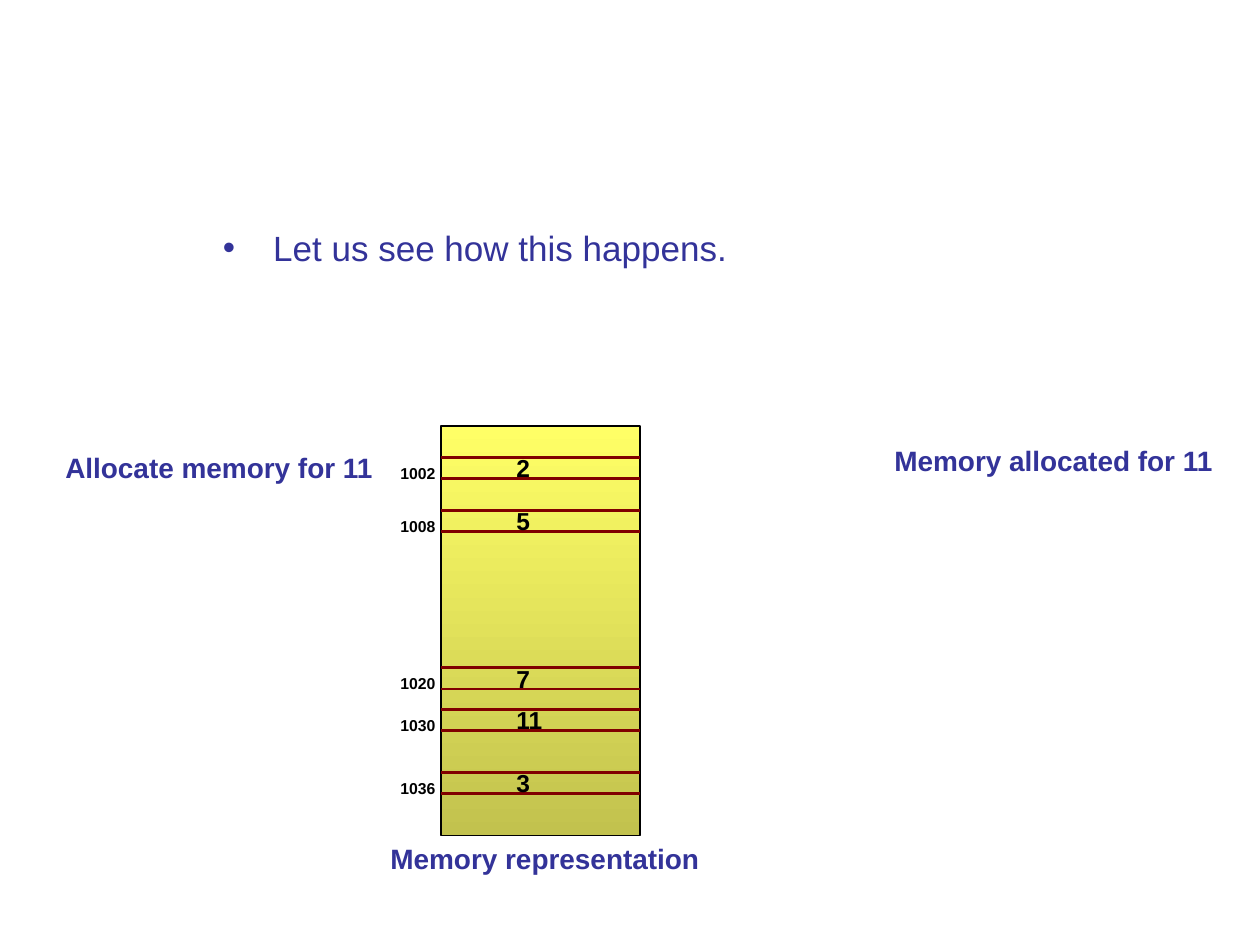
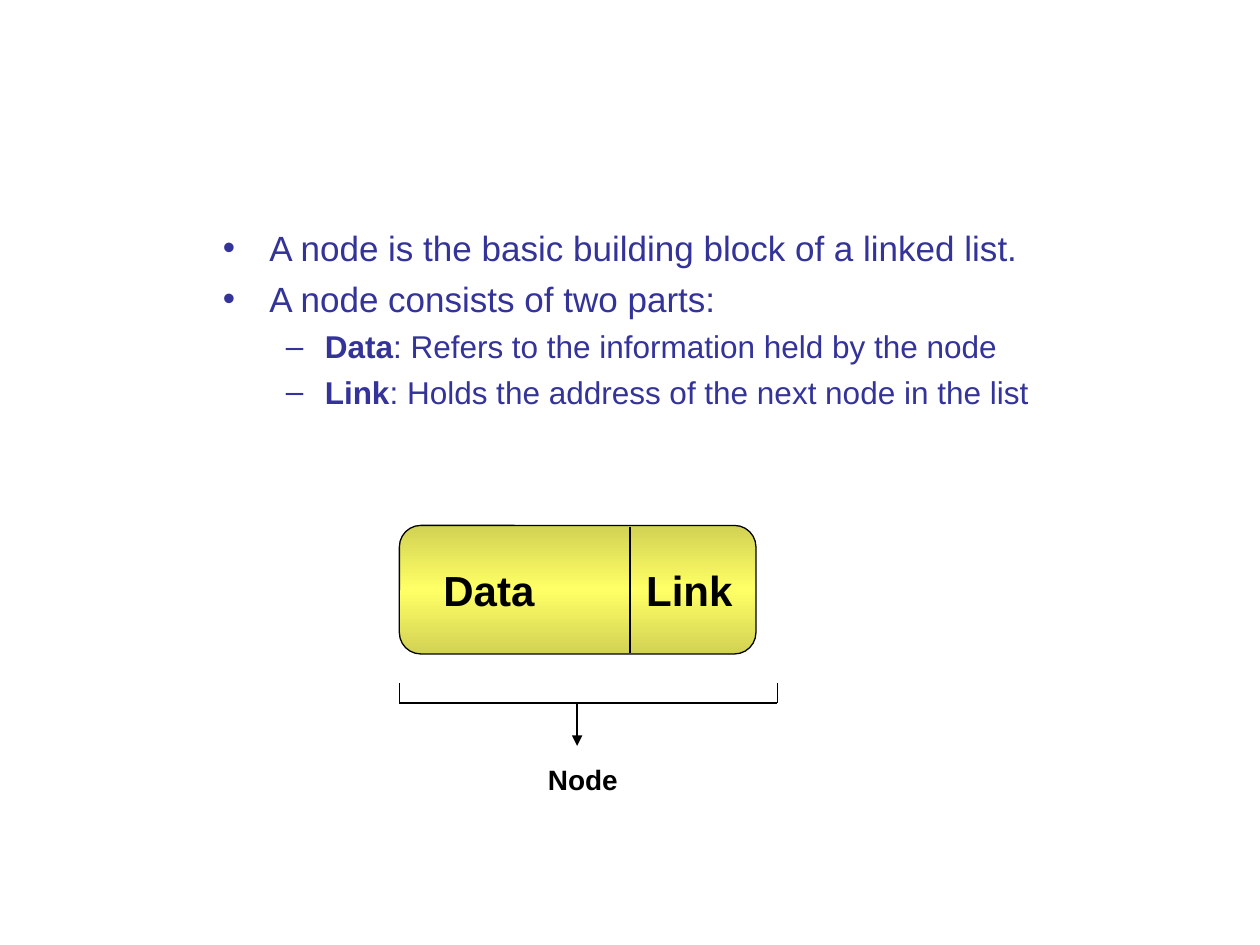
from copy import deepcopy
from dataclasses import dataclass

from lxml import etree
from pptx import Presentation
from pptx.dml.color import RGBColor
from pptx.enum.shapes import MSO_CONNECTOR, MSO_SHAPE
from pptx.enum.text import MSO_AUTO_SIZE
from pptx.oxml.ns import qn
from pptx.util import Inches, Pt

STRAIGHT = MSO_CONNECTOR.STRAIGHT
RECTANGLE = MSO_SHAPE.RECTANGLE
ROUNDED_RECTANGLE = MSO_SHAPE.ROUNDED_RECTANGLE
FIT_TEXT = MSO_AUTO_SIZE.SHAPE_TO_FIT_TEXT


@dataclass(frozen=True)
class Theme:
    font: str = "Arial"
    navy: str = "333399"
    black: str = "000000"
    maroon: str = "800000"
    yellow: str = "FFFF66"
    olive: str = "C2C24E"
    pale_olive: str = "D2D254"
    bullet_sizes: tuple = (20, 18)
    bullet_gaps: tuple = (5, 4.5)
    part_size: int = 24
    caption_size: int = 16
    value_size: int = 14
    address_size: int = 9
    thin: float = 0.75
    thick: float = 1.5


theme = Theme()


def add_label(slide, text, left, top, width, height, size, color, wrap=True):
    label = slide.shapes.add_textbox(Inches(left), Inches(top), Inches(width), Inches(height))
    frame = label.text_frame
    frame.text = text
    frame.word_wrap = wrap
    frame.auto_size = FIT_TEXT
    font = frame.paragraphs[0].runs[0].font
    font.name = theme.font
    font.size = Pt(size)
    font.bold = True
    font.color.rgb = RGBColor.from_string(color)


def add_line(slide, start_x, start_y, end_x, end_y, color, width):
    line = slide.shapes.add_connector(
        STRAIGHT, Inches(start_x), Inches(start_y), Inches(end_x), Inches(end_y))
    line.line.color.rgb = RGBColor.from_string(color)
    line.line.width = Pt(width)
    etree.SubElement(line._element.spPr, qn("a:effectLst"))
    return line


presentation = Presentation()
presentation.slide_width = Inches(10)
presentation.slide_height = Inches(7.5)
blank_layout = presentation.slide_layouts[6]
memory_slide = presentation.slides.add_slide(blank_layout)
node_slide = presentation.slides.add_slide(blank_layout)

memory_bullets = [(0, ["Let us see how this happens."])]
node_bullets = [
    (0, ["A node is the basic building block of a linked list."]),
    (0, ["A node consists of two parts:"]),
    (1, ["Data", ": Refers to the information held by the node"]),
    (1, ["Link", ": Holds the address of the next node in the list"]),
]
bullet_signs = ("•", "–")

for slide, bullets, height, indents in (
    (memory_slide, memory_bullets, 5, [(0.4, 0.4)]),
    (node_slide, node_bullets, 1.59, [(0.37, 0.37), (0.81, 0.31)]),
):
    body = slide.shapes.add_textbox(Inches(1.67), Inches(1.75), Inches(8), Inches(height))
    frame = body.text_frame
    frame.word_wrap = True
    for index, (level, parts) in enumerate(bullets):
        paragraph = frame.add_paragraph() if index else frame.paragraphs[0]
        paragraph.level = level
        margin, hanging = indents[level]
        properties = paragraph._p.get_or_add_pPr()
        properties.set("marL", str(Inches(margin)))
        properties.set("indent", str(-Inches(hanging)))
        bullet_color = etree.SubElement(properties, qn("a:buClr"))
        etree.SubElement(bullet_color, qn("a:srgbClr"), val=theme.navy)
        etree.SubElement(properties, qn("a:buFont"), typeface=theme.font)
        etree.SubElement(properties, qn("a:buChar"), char=bullet_signs[level])
        if index:
            paragraph.space_before = Pt(theme.bullet_gaps[level])
        for position, part in enumerate(parts):
            run = paragraph.add_run()
            run.text = part
            run.font.name = theme.font
            run.font.size = Pt(theme.bullet_sizes[level])
            run.font.bold = level == 1 and position == 0
            run.font.color.rgb = RGBColor.from_string(theme.navy)

for slide, kind, box, stops in (
    (memory_slide, RECTANGLE, (3.5, 3.38, 1.58, 3.25), (theme.yellow, theme.olive)),
    (node_slide, ROUNDED_RECTANGLE, (3.17, 4.17, 2.83, 1.02),
     (theme.pale_olive, theme.yellow, theme.pale_olive)),
):
    shape = slide.shapes.add_shape(kind, *map(Inches, box))
    shape.shadow.inherit = False
    shape.line.color.rgb = RGBColor.from_string(theme.black)
    shape.line.width = Pt(theme.thin)
    shape.fill.gradient()
    shape.fill.gradient_angle = 270
    stop_list = shape._element.spPr.find(qn("a:gradFill")).find(qn("a:gsLst"))
    while len(stop_list) < len(stops):
        stop_list.append(deepcopy(stop_list[0]))
    for index, (stop, color) in enumerate(zip(shape.fill.gradient_stops, stops)):
        stop.position = index / (len(stops) - 1)
        stop.color.rgb = RGBColor.from_string(color)

memory_cells = [
    (3.63, "1002", "2"),
    (4.05, "1008", "5"),
    (5.3, "1020", "7"),
    (5.63, "1030", "11"),
    (6.13, "1036", "3"),
]
for top, address, value in memory_cells:
    for edge in (top, top + 0.17):
        add_line(memory_slide, 3.5, edge, 5.08, edge, theme.maroon, theme.thick)
    add_label(memory_slide, value, 4, top - 0.08, 0.42, 0.34, theme.value_size, theme.black)
    add_label(memory_slide, address, 3.08, top, 1.17, 0.25, theme.address_size, theme.black)

for text, left, top, width in (
    ("Allocate memory for 11", 0.42, 3.53, 2.75),
    ("Memory allocated for 11", 7, 3.47, 2.75),
    ("Memory representation", 3, 6.63, 3.25),
):
    add_label(memory_slide, text, left, top, width, 0.37, theme.caption_size, theme.navy)

for text, left in (("Data", 3.42), ("Link", 5.03)):
    add_label(node_slide, text, left, 4.43, 0.95, 0.5, theme.part_size, theme.black, wrap=False)
add_label(node_slide, "Node", 4.25, 6, 0.92, 0.37, theme.caption_size, theme.black)

part_divider = (5, 4.18, 5, 5.18)
bracket_left = (3.17, 5.42, 3.17, 5.58)
bracket_base = (3.17, 5.58, 6.17, 5.58)
bracket_right = (6.17, 5.42, 6.17, 5.58)
for ends in (part_divider, bracket_left, bracket_base, bracket_right):
    add_line(node_slide, *ends, theme.black, theme.thin)

node_arrow = add_line(node_slide, 4.58, 5.58, 4.58, 5.92, theme.black, theme.thin)
etree.SubElement(node_arrow.line._get_or_add_ln(), qn("a:tailEnd"), type="triangle")

presentation.save("out.pptx")
